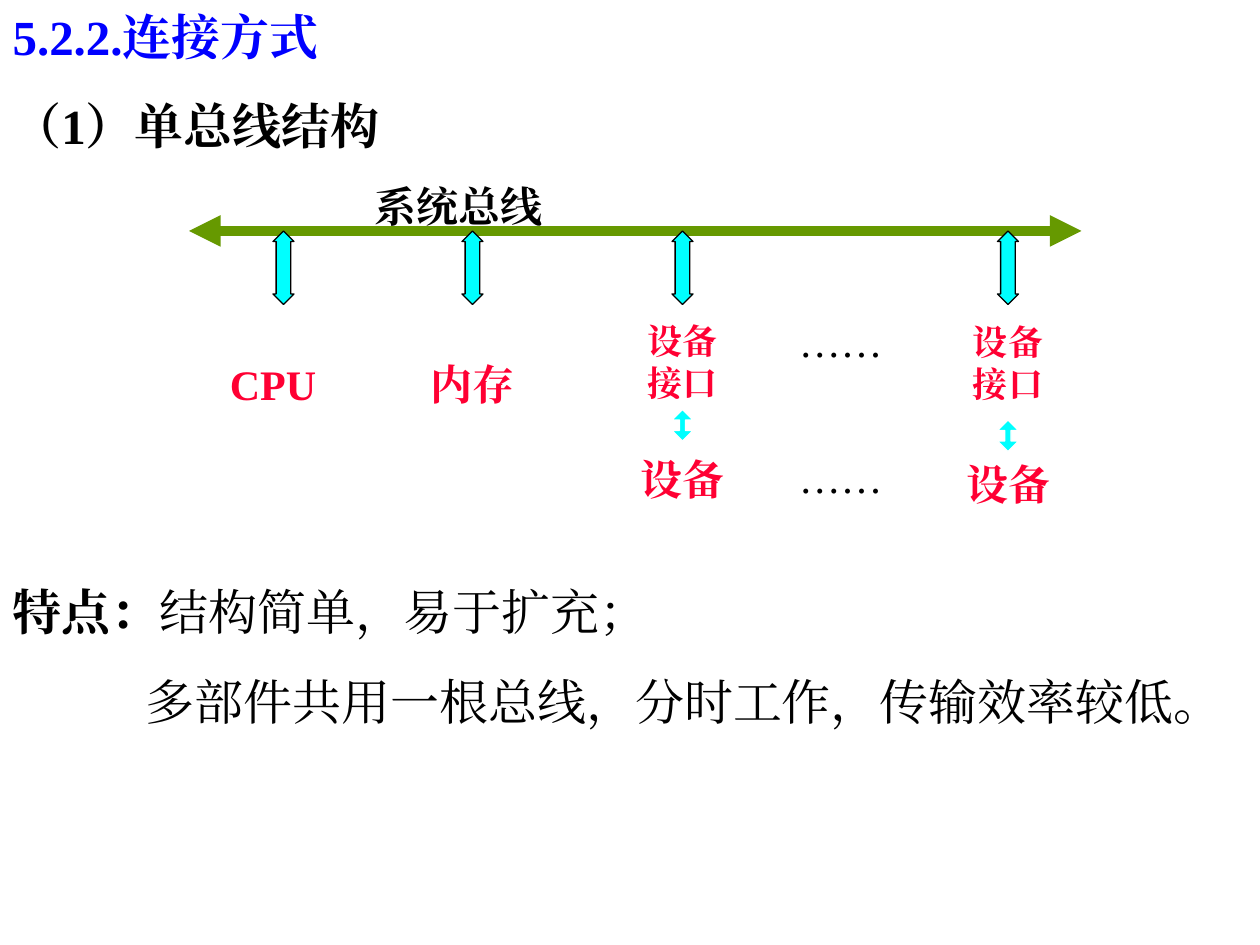
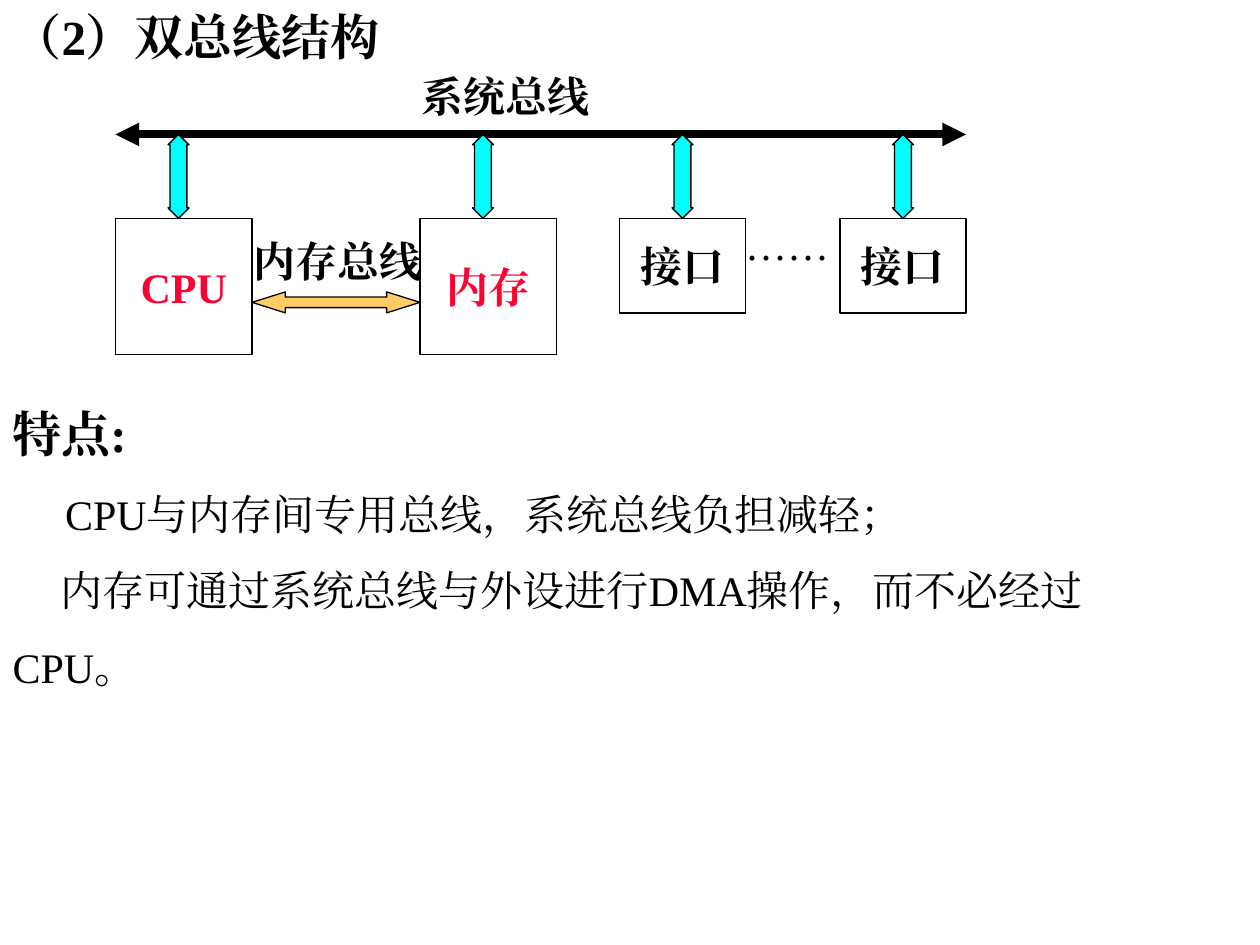
"""Build two slides on single-bus and dual-bus connection structures."""
from lxml import etree
from pptx import Presentation
from pptx.dml.color import RGBColor
from pptx.enum.shapes import MSO_CONNECTOR, MSO_SHAPE
from pptx.enum.text import MSO_ANCHOR, MSO_AUTO_SIZE, PP_ALIGN
from pptx.oxml.ns import qn
from pptx.util import Emu, Pt

PX = 7620
FONT = "Times New Roman"
COLORS = {
    "black": "000000", "white": "FFFFFF", "blue": "0000FF", "red": "FF0033",
    "cyan": "00FFFF", "green": "669900", "amber": "FFCC66",
}
RECT = MSO_SHAPE.RECTANGLE
UP_DOWN = MSO_SHAPE.UP_DOWN_ARROW
LEFT_RIGHT = MSO_SHAPE.LEFT_RIGHT_ARROW
STRAIGHT = MSO_CONNECTOR.STRAIGHT
LEFT, CENTER = PP_ALIGN.LEFT, PP_ALIGN.CENTER
TOP, MIDDLE = MSO_ANCHOR.TOP, MSO_ANCHOR.MIDDLE
NO_AUTOSIZE = MSO_AUTO_SIZE.NONE
DOTS = "······"


def px(*lengths):
    return [Emu(n * PX) for n in lengths]


def rgb(name):
    return RGBColor.from_string(COLORS[name])


def add_run(p, text, size, color="black", bold=False):
    r = p.add_run()
    r.text = text
    r.font.size = Pt(size)
    r.font.bold = bold
    r.font.color.rgb = rgb(color)
    r.font.name = FONT
    etree.SubElement(r.font._element, qn("a:ea")).set("typeface", FONT)


def format_frame(tf, anchor=TOP, wrap=True):
    tf.word_wrap = wrap
    tf.auto_size = NO_AUTOSIZE
    tf.vertical_anchor = anchor


def place(sp, left, top, width, height):
    sp.left, sp.top, sp.width, sp.height = px(left, top, width, height)


def set_title(slide, text, color="black"):
    sp = slide.shapes.title
    place(sp, 0, 0, 1070, 68)
    format_frame(sp.text_frame)
    p = sp.text_frame.paragraphs[0]
    p.alignment = LEFT
    add_run(p, text, 28, color, True)


def set_body(slide, top, width, height, paragraphs):
    """Fill the body from (first-line indent, size, space before, runs) items."""
    sp = slide.placeholders[1]
    place(sp, 0, top, width, height)
    tf = sp.text_frame
    format_frame(tf)
    for i, (indent, size, before, runs) in enumerate(paragraphs):
        p = tf.add_paragraph() if i else tf.paragraphs[0]
        p.alignment = LEFT
        p.space_before = Pt(before)
        pPr = p._p.get_or_add_pPr()
        pPr.set("marL", "0")
        pPr.set("indent", str(indent * PX))
        etree.SubElement(pPr, qn("a:buNone"))
        for text, bold in runs:
            add_run(p, text, size, bold=bold)


def add_label(slide, left, top, width, text, size=24, bold=True):
    tf = slide.shapes.add_textbox(*px(left, top, width, 60)).text_frame
    format_frame(tf)
    add_run(tf.paragraphs[0], text, size, bold=bold)


def add_filled(slide, kind, bounds, fill, line):
    sp = slide.shapes.add_shape(kind, *px(*bounds))
    sp.shadow.inherit = False
    sp.fill.solid()
    sp.fill.fore_color.rgb = rgb(fill)
    sp.line.color.rgb = rgb(line)
    sp.line.width = Pt(0.75)
    return sp


def add_box(slide, bounds, lines, color="red", line="white", size=24, shift=0):
    """Draw a box with centred lines, moved down by shift px."""
    tf = add_filled(slide, RECT, bounds, "white", line).text_frame
    format_frame(tf, MIDDLE, False)
    tf.margin_top, tf.margin_bottom = px(6 + 2 * max(shift, 0), 6 + 2 * max(-shift, 0))
    for i, text in enumerate(lines):
        p = tf.add_paragraph() if i else tf.paragraphs[0]
        p.alignment = CENTER
        add_run(p, text, size, color, True)


def add_arrow(slide, kind, bounds, head, fill="cyan", line="black"):
    sp = add_filled(slide, kind, bounds, fill, line)
    sp.adjustments[0] = 0.5
    sp.adjustments[1] = head


def add_bus(slide, left, right, y, color, width):
    bus = slide.shapes.add_connector(STRAIGHT, *px(left, y, right, y))
    bus.line.color.rgb = rgb(color)
    bus.line.width = Pt(width)
    ln = bus.line._get_or_add_ln()
    for end in ("a:headEnd", "a:tailEnd"):
        etree.SubElement(ln, qn(end)).set("type", "triangle")
    etree.SubElement(bus._element.spPr, qn("a:effectLst"))


def build_single_bus(slide):
    set_title(slide, "5.2.2.连接方式", "blue")
    add_label(slide, 0, 85, 1070, "（1）单总线结构", 28)
    add_label(slide, 345, 166, 200, "系统总线")
    add_bus(slide, 180, 1030, 220, "green", 6)
    for left, text in ((190, "CPU"), (380, "内存")):
        add_box(slide, (left, 290, 140, 150), [text])
    for left, height, shift, arrow_top in ((600, 100, 4, 390), (910, 110, 0, 400)):
        add_box(slide, (left, 290, 100, height), ["设备", "接口"], size=20, shift=shift)
        add_box(slide, (left, 430, 100, height), ["设备"], shift=-24)
        add_arrow(slide, UP_DOWN, (left + 40, arrow_top, 20, 30), 0.3, line="white")
    for left in (260, 440, 640, 950):
        add_arrow(slide, UP_DOWN, (left, 220, 20, 70), 0.7)
    for top in (306, 436):
        add_label(slide, 749, top, 120, DOTS, bold=False)
    set_body(slide, 548, 1170, 220, [
        (0, 28, 0, [("特点：", True), ("结构简单，易于扩充；", False)]),
        (127, 28, 17.5, [("多部件共用一根总线，分时工作，传输效率较低。", False)]),
    ])


def build_dual_bus(slide):
    set_title(slide, "（2）双总线结构")
    add_label(slide, 390, 61, 200, "系统总线")
    add_bus(slide, 110, 920, 128, "black", 4.5)
    for left, width, height, text, color in (
        (110, 130, 130, "CPU", "red"), (400, 130, 130, "内存", "red"),
        (590, 120, 90, "接口", "black"), (800, 120, 90, "接口", "black"),
    ):
        add_box(slide, (left, 208, width, height), [text], color, "black")
    for left in (160, 450, 640, 850):
        add_arrow(slide, UP_DOWN, (left, 128, 20, 80), 0.8)
    add_arrow(slide, LEFT_RIGHT, (240, 278, 160, 20), 1.59, "amber")
    add_label(slide, 230, 218, 200, "内存总线")
    add_label(slide, 698, 214, 120, DOTS, bold=False)
    set_body(slide, 378, 1070, 290, [
        (0, 28, 0, [("特点:", True)]),
        (50, 24, 15, [("CPU与内存间专用总线，系统总线负担减轻；", False)]),
        (46, 24, 15, [("内存可通过系统总线与外设进行DMA操作，而不必经过", False)]),
        (0, 24, 15, [("CPU。", False)]),
    ])


def main():
    prs = Presentation()
    prs.slide_width, prs.slide_height = px(1200, 900)
    for build in (build_single_bus, build_dual_bus):
        build(prs.slides.add_slide(prs.slide_layouts[1]))
    prs.save("out.pptx")


if __name__ == "__main__":
    main()
